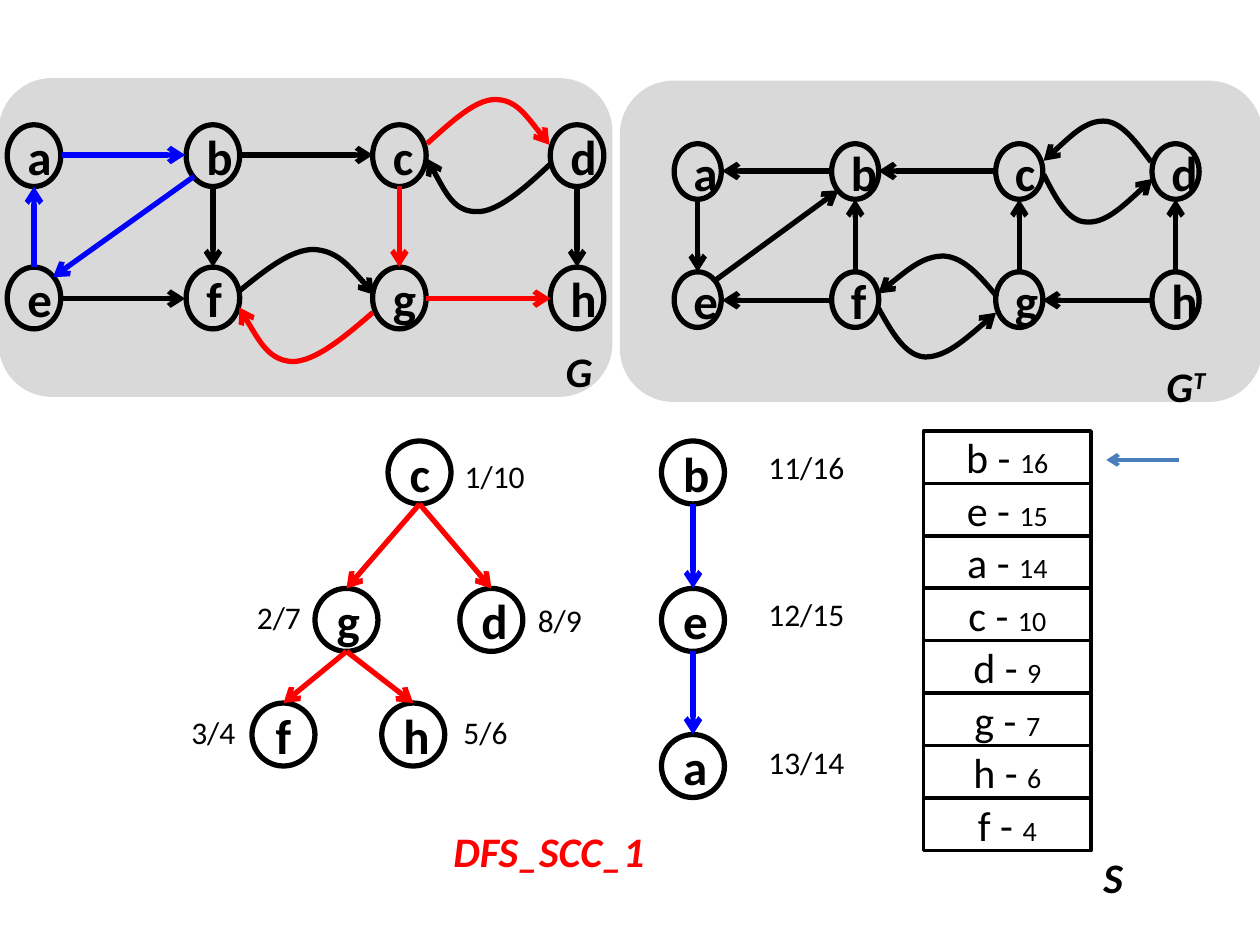
from pptx import Presentation
from pptx.dml.color import RGBColor
from pptx.enum.shapes import MSO_CONNECTOR, MSO_SHAPE
from pptx.enum.text import MSO_ANCHOR, PP_ALIGN
from pptx.oxml.ns import qn
from pptx.util import Inches, Pt
from lxml.etree import SubElement

BLACK, RED, BLUE, GREY = "000000", "FF0000", "0000FF", "D9D9D9"

prs = Presentation()
prs.slide_width, prs.slide_height = Inches(10), Inches(7.5)
s = prs.slides.add_slide(prs.slide_layouts[6])


def add_item(kind, box, runs=(), color=BLACK, bold=False, italic=False,
             line=None, fill=None, center=True):
    """Add a preset shape, or a text box if kind is None; runs are (text, size)."""
    box = [Inches(v) for v in box]
    if kind is None:
        sp = s.shapes.add_textbox(*box)
    else:
        sp = s.shapes.add_shape(kind, *box)
        sp.shadow.inherit = False
        sp.fill.background()
        sp.line.fill.background()
    if fill:
        sp.fill.solid()
        sp.fill.fore_color.rgb = RGBColor.from_string(fill)
    if line:
        sp.line.color.rgb = RGBColor.from_string(BLACK)
        sp.line.width = Pt(line)
    tf = sp.text_frame
    tf.word_wrap = True
    tf.vertical_anchor = MSO_ANCHOR.MIDDLE if center else MSO_ANCHOR.TOP
    p = tf.paragraphs[0]
    p.alignment = PP_ALIGN.CENTER if center else PP_ALIGN.LEFT
    for text, size in runs:
        r = p.add_run()
        r.text = text
        r.font.name, r.font.size = "Calibri", Pt(size)
        r.font.bold, r.font.italic = bold, italic
        r.font.color.rgb = RGBColor.from_string(color)
    return sp


def add_arrow(points, color, end="tailEnd", width=3):
    """Draw a straight arrow from two points, or a Bezier one from 3n + 1 points."""
    pts = [(Inches(x), Inches(y)) for x, y in points]
    if len(pts) == 2:
        sp = s.shapes.add_connector(MSO_CONNECTOR.STRAIGHT, *pts[0], *pts[1])
    else:
        builder = s.shapes.build_freeform(*pts[0])
        builder.add_line_segments(pts[1:], close=False)
        sp = builder.convert_to_shape()
        sp.fill.background()
        steps = list(sp._element.iter(qn("a:lnTo")))
        for i in range(0, len(steps), 3):
            curve = SubElement(steps[i].getparent(), qn("a:cubicBezTo"))
            for step in steps[i:i + 3]:
                curve.append(step[0])
                step.getparent().remove(step)
    sp.line.color.rgb = RGBColor.from_string(color)
    sp.line.width = Pt(width)
    SubElement(sp.line._get_or_add_ln(), qn("a:" + end)).set("type", "arrow")
    SubElement(sp._element.spPr, qn("a:effectLst"))


# Graph G and its transpose: same layout, scaled, with the arrows reversed
columns, rows = (0.27, 1.69, 3.17, 4.58), (1.235, 2.365)
edges = [
    (BLUE, [(0.49, 1.23), (1.47, 1.23)]),
    (BLACK, [(1.9, 1.23), (2.96, 1.23)]),
    (RED, [(3.38, 2.37), (4.37, 2.37)]),
    (BLACK, [(0.49, 2.37), (1.47, 2.37)]),
    (BLUE, [(0.27, 2.12), (0.27, 1.48)]),
    (BLUE, [(1.54, 1.4), (0.42, 2.2)]),
    (BLACK, [(1.69, 1.48), (1.69, 2.12)]),
    (RED, [(3.17, 1.48), (3.17, 2.12)]),
    (BLACK, [(4.58, 1.48), (4.58, 2.12)]),
    (RED, [(3.39, 1.14), (3.58, 0.97), (3.77, 0.79), (3.93, 0.79),
           (4.09, 0.79), (4.22, 0.97), (4.36, 1.15)]),
    (BLACK, [(4.37, 1.3), (4.16, 1.5), (3.94, 1.69), (3.78, 1.68),
             (3.61, 1.68), (3.5, 1.47), (3.39, 1.26)]),
    (BLACK, [(1.9, 2.31), (2.11, 2.14), (2.31, 1.98), (2.49, 1.98),
             (2.67, 1.99), (2.82, 2.16), (2.97, 2.34)]),
    (RED, [(2.96, 2.48), (2.73, 2.68), (2.5, 2.87), (2.32, 2.87),
           (2.14, 2.86), (2.02, 2.65), (1.9, 2.44)]),
]
graphs = [  # panel, x offset and scale, y offset and scale, arrow end, one colour
    ((-0.01, 0.62, 4.87, 2.53), 0, 1, 0, 1, "tailEnd", None),
    ((4.92, 0.64, 5.1, 2.55), 5.3, 0.88, 0.25, 0.9, "headEnd", BLACK),
]
for panel, x0, kx, y0, ky, end, one_color in graphs:
    add_item(MSO_SHAPE.ROUNDED_RECTANGLE, panel, fill=GREY)
    w, h = 0.425 * kx, 0.49 * ky
    for i, name in enumerate("abcdefgh"):
        x, y = x0 + kx * columns[i % 4], y0 + ky * rows[i // 4]
        add_item(MSO_SHAPE.OVAL, (x - w / 2, y - h / 2, w, h), [(name, 28)],
                 bold=True, line=3)
    for color, points in edges:
        add_arrow([(x0 + kx * x, y0 + ky * y) for x, y in points],
                  one_color or color, end)

# Depth-first trees: node centre, place of its times, parent
D = 0.5
tree = {
    "c": (3.33, 3.75, "1/10", 3.59, 3.58, None),
    "g": (2.75, 4.92, "2/7", 1.94, 4.7, "c"),
    "d": (3.9, 4.92, "8/9", 4.17, 4.72, "c"),
    "f": (2.25, 5.83, "3/4", 1.42, 5.61, "g"),
    "h": (3.28, 5.83, "5/6", 3.58, 5.61, "g"),
    "b": (5.5, 3.75, "11/16", 6, 3.51, None),
    "e": (5.5, 4.92, "12/15", 6, 4.67, "b"),
    "a": (5.5, 6.08, "13/14", 6, 5.85, "e"),
}
for name, (x, y, times, tx, ty, parent) in tree.items():
    add_item(MSO_SHAPE.OVAL, (x - D / 2, y - D / 2, D, D), [(name, 28)],
             bold=True, line=3)
    add_item(None, (tx, ty, 0.83, 0.4), [(times, 18)], center=False)
    if parent:
        px, py = tree[parent][:2]
        add_arrow([(px, py + D / 2), (x, y - D / 2)],
                  BLUE if parent in "be" else RED)

# Stack S, by decreasing finishing time
stack = [("b", 16), ("e", 15), ("a", 14), ("c", 10),
         ("d", 9), ("g", 7), ("h", 6), ("f", 4)]
row_h = 3.33 / len(stack)
for i, (name, finish) in enumerate(stack):
    add_item(MSO_SHAPE.RECTANGLE, (7.33, 3.42 + i * row_h, 1.33, row_h),
             [(f"{name} - ", 24), (str(finish), 16)], line=2)
add_arrow([(8.78, 3.65), (9.36, 3.65)], "4B7EBC", "headEnd", 2.25)

# Captions
add_item(None, (8.17, 6.75, 1.33, 0.41), [("S", 24)], bold=True, italic=True)
add_item(None, (4.39, 2.69, 0.97, 0.49), [("G", 24)], bold=True, italic=True,
         center=False)
add_item(None, (3.5, 6.5, 1.9, 0.5), [("DFS_SCC_1", 24)], RED, bold=True,
         italic=True, center=False)
sp = add_item(None, (9.16, 2.81, 0.86, 0.44), [("G", 24), ("T", 24)], bold=True,
              italic=True, center=False)
sp.text_frame.paragraphs[0].runs[1].font._element.set("baseline", "30000")

prs.save("out.pptx")
